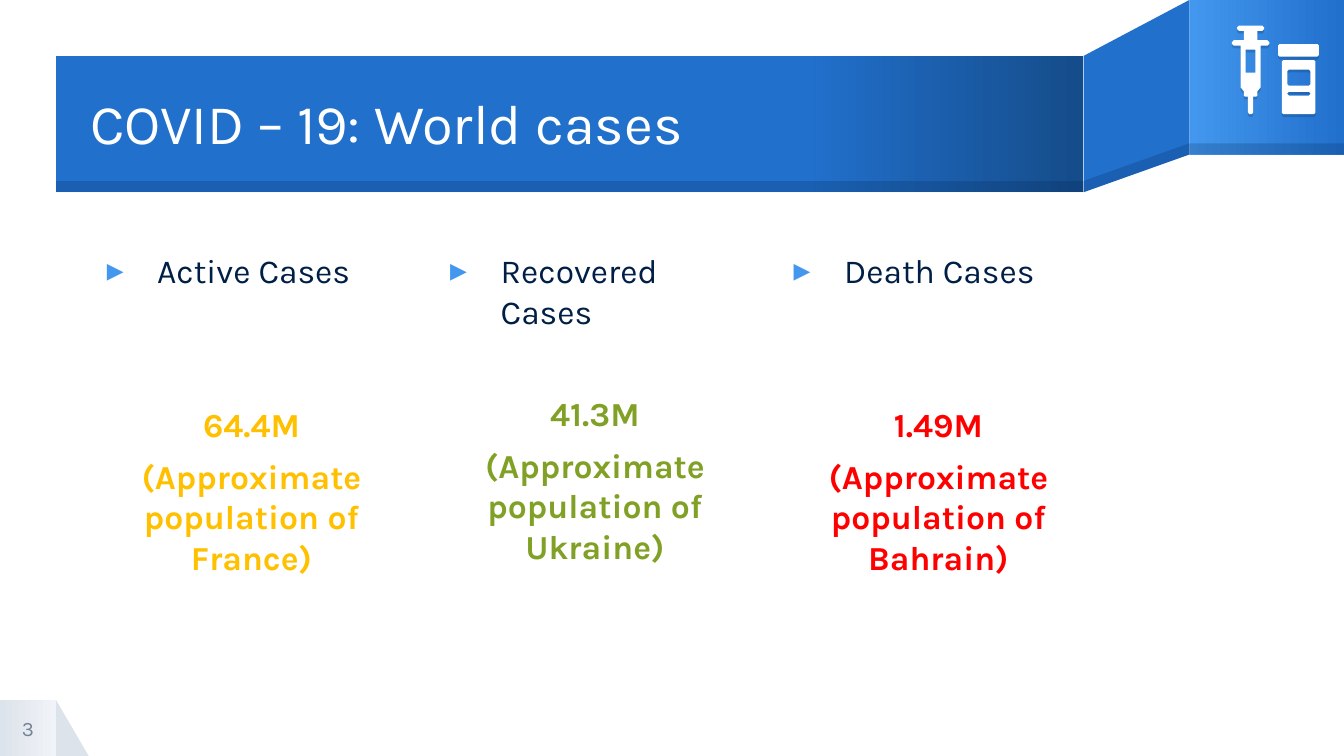
from lxml.etree import SubElement
from pptx import Presentation
from pptx.dml.color import RGBColor
from pptx.enum.shapes import MSO_SHAPE
from pptx.enum.text import MSO_ANCHOR, PP_ALIGN
from pptx.oxml.ns import qn
from pptx.util import Pt

TITLE = "COVID – 19: World cases"
PAGE = "3"
# heading, figure, comparison, colour, space above the figure
CASES = [
    ("Active Cases", "64.4M", "(Approximate population of France)", "FFC000", 61),
    ("Recovered Cases", "41.3M", "(Approximate population of Ukraine)", "81A126", 33.5),
    ("Death Cases", "1.49M", "(Approximate population of Bahrain)", "FF0000", 61),
]
FONT = "Karla"
NAVY, BLUE, SKY, WHITE = "001F46", "2170CC", "4397EE", "FFFFFF"

# Ribbon edges: banner from LEFT to FOLD, slanted side to BOX, icon box to WIDTH
WIDTH, HEIGHT = 720, 405
LEFT, FOLD, BOX = 30, 580.5, 637.2
TOP, BOTTOM, BOX_BOTTOM, EDGE = 30, 103, 82.8, 6
TAB = 30
COLUMN_LEFT, COLUMN_TOP, COLUMN_STEP, COLUMN_WIDTH = 48.24, 134, 184, 164

# Right half of the syringe, as (distance from its axis, y)
SYRINGE_AXIS = 670
SYRINGE_HALF = [
    (6.2, 13.7), (7.2, 14.7), (7.2, 15.6), (6.2, 16.6), (3.6, 16.6), (3.6, 21.6),
    (9, 21.6), (10, 22.6), (10, 23.5), (9, 24.5), (5.4, 24.5), (5.4, 46.8),
    (3.6, 49), (3.6, 51.3), (3, 51.8), (1.4, 51.8), (1.4, 60.2), (0.7, 61.2),
]


def rgb(color):
    return RGBColor.from_string(color)


def paint(s, color, alpha=None):
    """Fill with one colour, without line or shadow."""
    s.shadow.inherit = False
    s.line.fill.background()
    s.fill.solid()
    s.fill.fore_color.rgb = rgb(color)
    if alpha:
        clr = s._element.spPr.find(qn("a:solidFill"))[0]
        SubElement(clr, qn("a:alpha"), val=str(alpha * 1000))


def add_box(left, top, width, height, color, alpha=None, kind=MSO_SHAPE.RECTANGLE):
    s = shapes.add_shape(kind, Pt(left), Pt(top), Pt(width), Pt(height))
    paint(s, color, alpha)
    return s


def set_gradient(s, stops):
    s.fill.gradient()
    s.fill.gradient_angle = 0
    gs_list = s._element.spPr.find(qn("a:gradFill")).find(qn("a:gsLst"))
    gs_list.clear()
    for pos, color in stops:
        gs = SubElement(gs_list, qn("a:gs"), pos=str(pos * 1000))
        SubElement(gs, qn("a:srgbClr"), val=color)


def add_outline(contours, color, alpha=None):
    """Draw closed contours as one shape; inner ones become holes."""
    builder = None
    for contour in contours:
        (x, y), *rest = [(Pt(x), Pt(y)) for x, y in contour]
        if builder is None:
            builder = shapes.build_freeform(x, y, scale=1.0)
        else:
            builder.move_to(x, y)
        builder.add_line_segments(rest, close=True)
    s = builder.convert_to_shape()
    paint(s, color, alpha)
    return s


def cut_rect(x1, y1, x2, y2, c=0.8):
    """Corner points of a rectangle whose corners are cut by c."""
    return [(x1 + c, y1), (x2 - c, y1), (x2, y1 + c), (x2, y2 - c),
            (x2 - c, y2), (x1 + c, y2), (x1, y2 - c), (x1, y1 + c)]


def add_icon_part(contours):
    s = add_outline(contours, WHITE)
    effects = s._element.spPr.find(qn("a:effectLst"))
    shadow = SubElement(effects, qn("a:outerShdw"), dist=str(Pt(1.5)), dir="5400000",
                        algn="bl", rotWithShape="0")
    clr = SubElement(shadow, qn("a:srgbClr"), val=NAVY)
    SubElement(clr, qn("a:alpha"), val="20000")


def add_text_frame(left, top, width, height, anchor=MSO_ANCHOR.TOP):
    tf = shapes.add_textbox(Pt(left), Pt(top), Pt(width), Pt(height)).text_frame
    tf.word_wrap = True
    tf.vertical_anchor = anchor
    for side in ("left", "top", "right", "bottom"):
        setattr(tf, f"margin_{side}", 0)
    return tf


def write(p, text, size, color, bold=False, **layout):
    r = p.add_run()
    r.text = text
    r.font.color.rgb = rgb(color)
    for name, value in {"name": FONT, "size": Pt(size), "bold": bold}.items():
        setattr(r.font, name, value)
    for name, value in layout.items():
        setattr(p, name, value)


def set_indent(p, margin, indent=0, bullet=None):
    pPr = p._p.get_or_add_pPr()
    pPr.set("marL", str(Pt(margin)))
    pPr.set("indent", str(Pt(indent)))
    if bullet:
        SubElement(SubElement(pPr, qn("a:buClr")), qn("a:srgbClr"), val=SKY)
        SubElement(pPr, qn("a:buFont"), typeface=FONT)
        SubElement(pPr, qn("a:buChar"), char=bullet)


prs = Presentation()
prs.slide_width, prs.slide_height = Pt(WIDTH), Pt(HEIGHT)
shapes = prs.slides.add_slide(prs.slide_layouts[6]).shapes

# Page number tab
tab_top = HEIGHT - TAB
add_box(TAB, tab_top, 17.5, TAB, "DDE3EB", kind=MSO_SHAPE.RIGHT_TRIANGLE)
set_gradient(add_box(0, tab_top, TAB, TAB, "DDE3EB"), [(0, "DDE3EB"), (100, "F0F3F7")])

# Folded ribbon with a darker lower edge
add_outline([[(BOX, 0), (FOLD, TOP), (FOLD, BOTTOM), (BOX, BOX_BOTTOM)]], BLUE)
set_gradient(add_box(BOX, 0, WIDTH - BOX, BOX_BOTTOM, BLUE), [(0, SKY), (100, BLUE)])
set_gradient(add_box(LEFT, TOP, FOLD - LEFT, BOTTOM - TOP, BLUE),
             [(0, BLUE), (73, BLUE), (100, "154C8A")])
add_outline([[(BOX, BOX_BOTTOM - EDGE), (FOLD, BOTTOM - EDGE),
              (FOLD, BOTTOM), (BOX, BOX_BOTTOM)]], NAVY, 20)
add_box(BOX, BOX_BOTTOM - EDGE, WIDTH - BOX, EDGE, NAVY, 20)
add_box(LEFT, BOTTOM - EDGE, FOLD - LEFT, EDGE, NAVY, 20)

tf = add_text_frame(COLUMN_LEFT, TOP + 1, FOLD - COLUMN_LEFT, BOTTOM - TOP, MSO_ANCHOR.MIDDLE)
write(tf.paragraphs[0], TITLE, 30, WHITE, line_spacing=0.9)

# Case columns
for i, (heading, figure, comparison, color, gap) in enumerate(CASES):
    tf = add_text_frame(COLUMN_LEFT + i * COLUMN_STEP, COLUMN_TOP, COLUMN_WIDTH, 214)
    p = tf.paragraphs[0]
    set_indent(p, 36, -27, "▸")
    write(p, heading, 18, NAVY)
    for text, space in ((figure, gap), (comparison, 6)):
        p = tf.add_paragraph()
        set_indent(p, 9)
        write(p, text, 18, color, True, alignment=PP_ALIGN.CENTER, space_before=Pt(space))

tf = add_text_frame(0, tab_top, TAB, TAB, MSO_ANCHOR.MIDDLE)
write(tf.paragraphs[0], PAGE, 11, "748394", alignment=PP_ALIGN.CENTER)

# Vial and syringe
add_icon_part([cut_rect(684.7, 23.6, 706.5, 30.4)])
add_icon_part([cut_rect(686.7, 32.2, 704.7, 61.2),
               cut_rect(689.7, 37.3, 702, 45.9),
               cut_rect(689.7, 49.2, 702, 51.2)])
right = [(SYRINGE_AXIS + dx, y) for dx, y in SYRINGE_HALF]
left = [(SYRINGE_AXIS - dx, y) for dx, y in reversed(SYRINGE_HALF)]
add_icon_part([right + left, cut_rect(667.4, 26.6, 672.6, 38.9, 0)])

prs.save("out.pptx")
